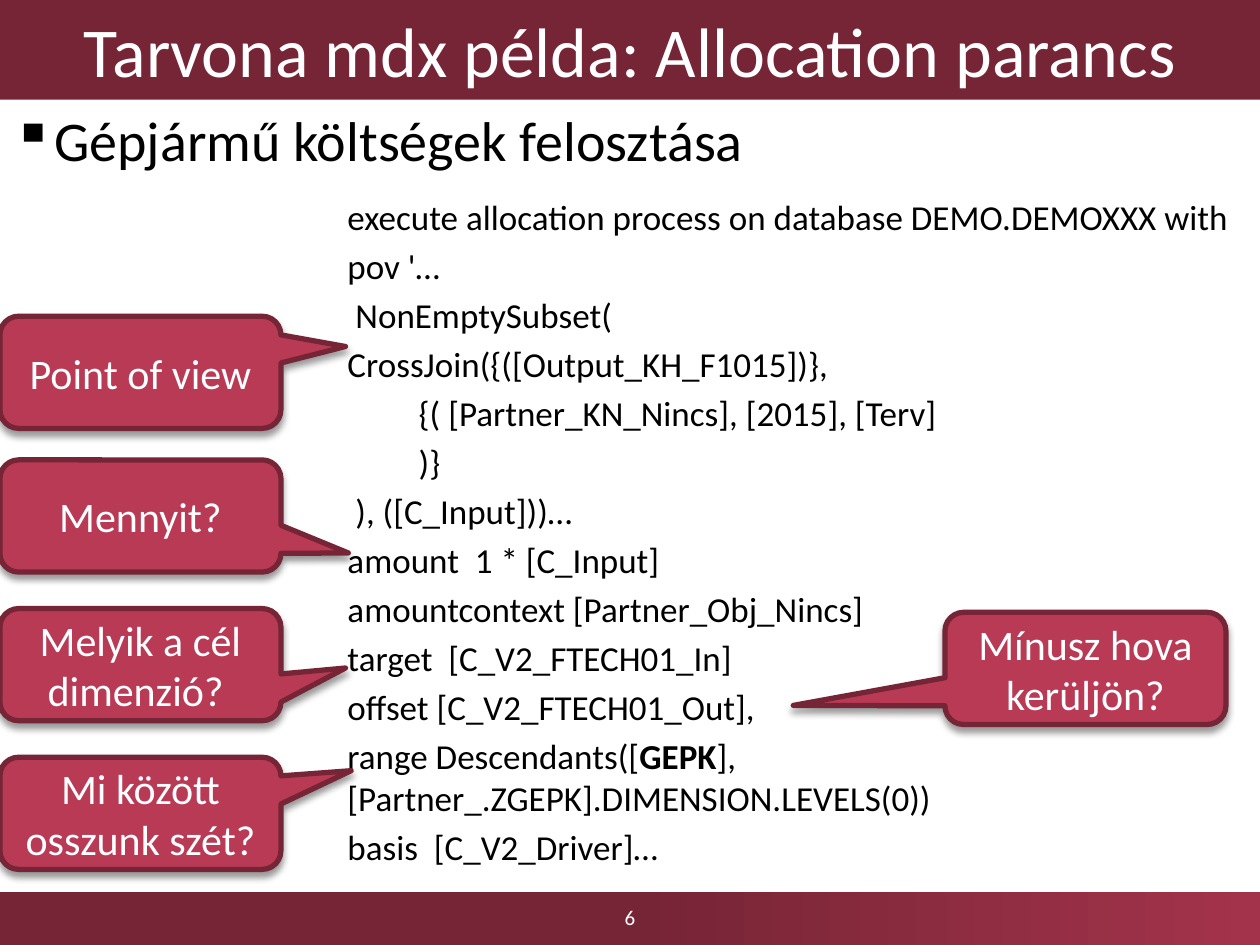
from lxml import etree
from pptx import Presentation
from pptx.dml.color import RGBColor
from pptx.enum.shapes import MSO_SHAPE as Shape
from pptx.enum.text import MSO_ANCHOR as Anchor, MSO_AUTO_SIZE as AutoSize, PP_ALIGN as Align
from pptx.oxml import parse_xml
from pptx.oxml.ns import nsdecls, qn
from pptx.util import Inches, Pt

DARK, RED, BRIGHT = "762536", "B83A55", "A3334B"
WHITE, BLACK = "FFFFFF", "000000"
SPACE = 0.0628  # width of one space at 20 pt, in inches

# (text, indent in spaces); a list holds (text, bold) pieces
CODE = [
    ("execute allocation process on database DEMO.DEMOXXX with", 0),
    ("pov '…", 0),
    ("NonEmptySubset(", 1),
    ("CrossJoin({([Output_KH_F1015])},", 0),
    ("{( [Partner_KN_Nincs], [2015], [Terv]", 9),
    (")}", 9),
    ("), ([C_Input]))…", 1),
    ("amount  1 * [C_Input]", 0),
    ("amountcontext [Partner_Obj_Nincs]", 0),
    ("target  [C_V2_FTECH01_In]", 0),
    ("offset [C_V2_FTECH01_Out],", 0),
    ([("range Descendants([", False), ("GEPK", True),
      ("], [Partner_.ZGEPK].DIMENSION.LEVELS(0))", False)], 0),
    ("basis  [C_V2_Driver]…", 0),
]

# (text, left, top, pointer x, pointer y); pointer is relative to the centre
CALLOUTS = [
    ("Point of view", 0, 2.51, 0.73, -0.23),
    ("Mennyit?", 0, 3.65, 0.74, 0.33),
    ("Melyik a cél dimenzió? ", 0, 4.83, 0.73, 0.03),
    ("Mi között osszunk szét?", 0, 6.01, 0.75, -0.38),
    ("Mínusz hova kerüljön?", 7.5, 4.86, -1.04, 0.33),
]


def color(hex_value):
    return RGBColor.from_string(hex_value)


def inches(*lengths):
    return [Inches(length) for length in lengths]


def write(paragraph, text, size=20, fill=BLACK, align=Align.LEFT, before=0, indent=0, hanging=0):
    pieces = [(text, False)] if isinstance(text, str) else text
    for words, bold in pieces:
        run = paragraph.add_run()
        run.text = words
        font = run.font
        font.name, font.size, font.bold = "Calibri", Pt(size), bold
        font.color.rgb = color(fill)
    paragraph.alignment = align
    paragraph.space_before = Pt(before)
    properties = paragraph._p.get_or_add_pPr()
    properties.set("marL", str(Inches(indent)))
    properties.set("indent", str(Inches(-hanging)))
    return properties


def prepare_frame(shape, anchor=Anchor.MIDDLE):
    frame = shape.text_frame
    frame.word_wrap = True
    frame.auto_size = AutoSize.NONE
    frame.vertical_anchor = anchor
    return frame


def add_title(slide, box):
    title = slide.shapes.title
    title.left, title.top, title.width, title.height = inches(*box)
    title.fill.solid()
    title.fill.fore_color.rgb = color(DARK)
    write(prepare_frame(title).paragraphs[0], "Tarvona mdx példa: Allocation parancs",
          size=40, fill=WHITE, align=Align.CENTER)


def add_footer(slide, box):
    left, top, width, height = box
    band = slide.shapes.add_shape(Shape.RECTANGLE, *inches(*box))
    band.shadow.inherit = False
    band.line.fill.background()
    band.fill.gradient()
    band.fill.gradient_angle = 0
    for stop, (position, hex_value) in zip(band.fill.gradient_stops, [(0.5, DARK), (1, BRIGHT)]):
        stop.position = position
        stop.color.rgb = color(hex_value)
    # Page number
    number_width = 2.25
    number = slide.shapes.add_textbox(
        *inches(left + (width - number_width) / 2, top, number_width, height - 0.02))
    write(prepare_frame(number).paragraphs[0], "6", size=12, fill=WHITE, align=Align.CENTER)


def add_heading(slide, box):
    heading = slide.shapes.add_textbox(*inches(*box))
    properties = write(prepare_frame(heading, Anchor.TOP).paragraphs[0],
                       "Gépjármű költségek felosztása", size=32, indent=0.31, hanging=0.31)
    etree.SubElement(properties, qn("a:buChar")).set("char", "▪")


def add_code(slide, box):
    frame = prepare_frame(slide.shapes.add_textbox(*inches(*box)), Anchor.TOP)
    for index, (text, spaces) in enumerate(CODE):
        paragraph = frame.add_paragraph() if index else frame.paragraphs[0]
        write(paragraph, text, before=4, indent=spaces * SPACE)


def add_callout(slide, box, text, pointer):
    callout = slide.shapes.add_shape(Shape.ROUNDED_RECTANGULAR_CALLOUT, *inches(*box))
    callout.adjustments[0], callout.adjustments[1] = pointer
    callout.fill.solid()
    callout.fill.fore_color.rgb = color(RED)
    callout.line.color.rgb = color(DARK)
    callout.line.width = Pt(3)
    # Soft shadow straight below
    callout.shadow.inherit = False
    effects = callout._element.spPr.find(qn("a:effectLst"))
    effects.append(parse_xml(
        f'<a:outerShdw {nsdecls("a")} blurRad="{Pt(4)}" dist="{Pt(3)}" dir="5400000" '
        f'rotWithShape="0"><a:srgbClr val="{BLACK}"><a:alpha val="40000"/></a:srgbClr>'
        '</a:outerShdw>'))
    write(prepare_frame(callout).paragraphs[0], text, size=24, fill=WHITE, align=Align.CENTER)


def main():
    deck = Presentation()
    deck.slide_width, deck.slide_height = inches(10, 7.5)
    slide = deck.slides.add_slide(deck.slide_layouts[5])
    add_title(slide, (0, 0, 10, 0.79))
    add_footer(slide, (0, 7.08, 10, 0.42))
    add_code(slide, (2.66, 1.5, 7.34, 5.97))
    for text, left, top, *pointer in CALLOUTS:
        add_callout(slide, (left, top, 2.23, 0.89), text, pointer)
    add_heading(slide, (0, 0.79, 10, 0.64))
    deck.save("out.pptx")


if __name__ == "__main__":
    main()
